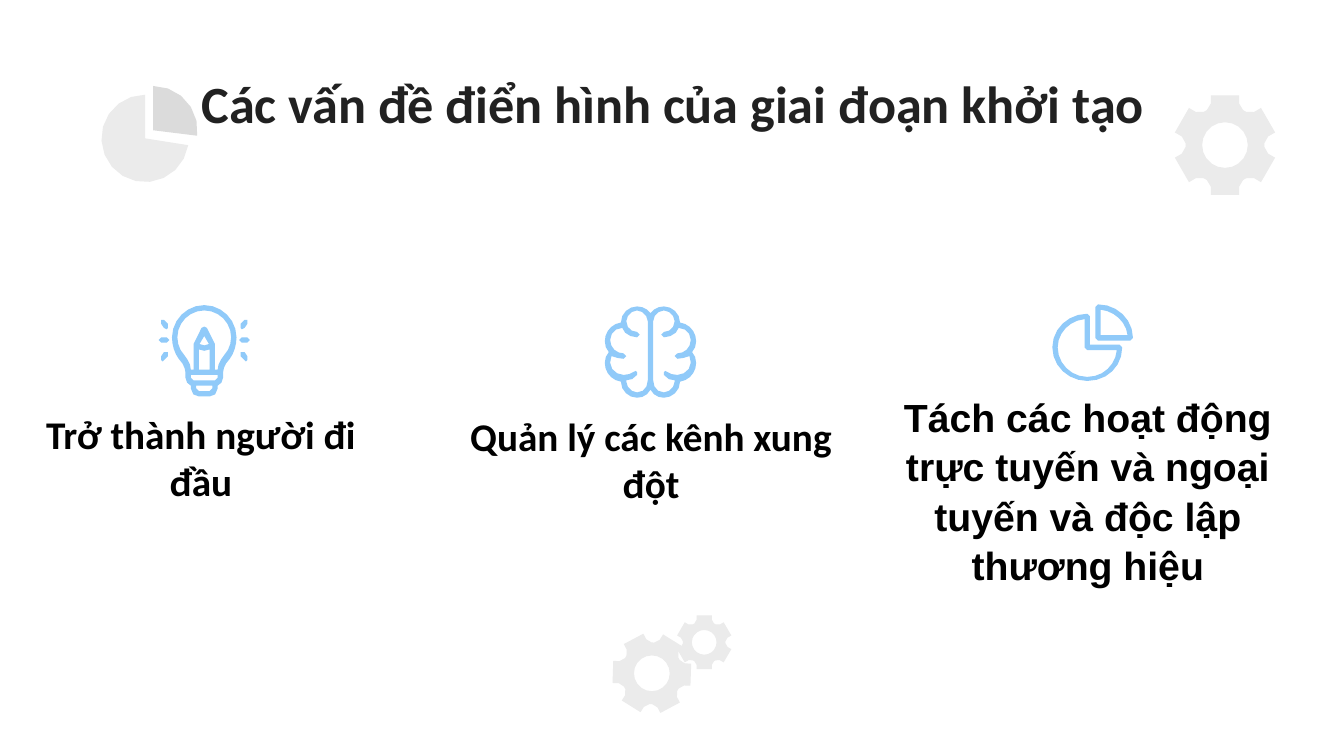
from math import cos, dist, radians, sin

from pptx import Presentation
from pptx.dml.color import RGBColor
from pptx.enum.text import MSO_ANCHOR as Anchor, PP_ALIGN as Align
from pptx.util import Inches, Pt

COLS, ROWS = 1000, 562.5
COLORS = {"title": "212121", "text": "000000", "icon": "90CAF9",
          "pale": "EBEBEB", "slice": "DBDBDB"}

# Left half of each outline, measured from the icon's top centre
BULB_HALVES = [
    "M 0 0 C -13 0 -24 11 -24 24 C -24 30 -22 36 -19 40 C -16 43 -14 47 -14 50 "
    "L -14 54 C -14 57 -12 59 -10 60 L -10 62 C -10 66 -7 68 -4 68 L 0 68",
    "M 0 4 C -11 4 -20 13 -20 24 C -20 29 -18 34 -15 37 C -12 41 -10 44 -10 48 "
    "L -8 48 L -8 29 L -2 17 L 0 16",
    "M 0 23 L -3.5 29 L 0 30",
    "M 0 34 L -4 33 L -4 48 L 0 48",
    "M 0 52 L -10 52 L -10 54 L -8 56 L 0 56",
    "M 0 60 L -6 60 L -6 62 L -4 64 L 0 64",
]
BULB_RAYS = [
    "M -32 24 L -34 26 L -32 28 L -28 28 L -26 26 L -28 24",
    "M -31 11 L -32 11 L -32 14 L -30 17 L -28 18 L -27 17 L -27 14 L -30 11",
    "M -28 35 L -30 35 L -32 38 L -32 41 L -31 42 L -30 41 L -27 38 L -27 35",
]
BRAIN_HALF = (
    "M 0 5 C -2 2 -6 0 -10 0 C -16 0 -22 5 -22 12 C -29 13 -34 19 -34 26 "
    "C -34 29 -33 32 -31 34 C -33 36 -34 39 -34 42 C -34 49 -29 55 -22 56 "
    "C -22 63 -16 68 -10 68 C -6 68 -2 66 0 62")
BRAIN_LOBE = (
    "M -10 3 C -6 3 -2 7 -2 11 L -2 55 C -2 60 -5 64 -10 64 C -14 64 -18 60 -18 56 "
    "L -18 55 C -15 55 -12 54 -10 51 L -10 49 L -11 48 L -13 49 "
    "C -14 50 -17 51 -20 51 C -25 51 -30 47 -30 42 "
    "C -30 40 -29 38 -29 37 C -26 38 -23 39 -20 39 L -18 37 "
    "L -20 35 C -25 35 -30 31 -30 25 C -30 20 -26 16 -21 16 "
    "C -20 20 -15 23 -10 23 L -8 21 L -10 19 "
    "C -14 19 -18 16 -18 11 C -18 7 -14 3 -10 3")
# Whole outlines, measured from the centre of the chart icon's disc
CHART_DISC = [
    "M 0 -25 C -14 -25 -26 -14 -26 0 C -26 14 -14 25 0 25 C 15 25 26 14 26 0 "
    "L 24 -2 L 2 -2 L 2 -23 L 0 -25",
    "M -2 -21 L -2 0 L 0 2 L 22 2 C 21 13 12 22 0 22 "
    "C -12 22 -22 12 -22 0 C -22 -11 -13 -20 -2 -21",
]
CHART_SLICE = [
    "M 8 -32 L 6 -30 L 6 -7 L 8 -5 L 32 -5 L 34 -7 C 34 -21 22 -32 8 -32",
    "M 10 -28 C 20 -27 29 -19 30 -9 L 10 -9 L 10 -28",
]


def flatten(outline):
    """Turn an outline of M, L and C commands into a list of points."""
    pts = []
    for part in outline.replace("M", "L").replace("L", "|L").replace("C", "|C").split("|")[1:]:
        n = [float(v) for v in part.split()[1:]]
        ends = list(zip(n[::2], n[1::2]))
        if part[0] == "L":
            pts += ends
            continue
        curve = [pts[-1], *ends]
        steps = min(6, max(2, round(dist(curve[0], curve[-1]) / 4)))
        for i in range(1, steps + 1):
            t = i / steps
            w = ((1 - t) ** 3, 3 * t * (1 - t) ** 2, 3 * t * t * (1 - t), t ** 3)
            pts.append(tuple(sum(k * p[a] for k, p in zip(w, curve)) for a in (0, 1)))
    return pts


def mirror(pts):
    return [(-x, y) for x, y in reversed(pts)]


def symmetric(half):
    pts = flatten(half)
    return pts + mirror(pts)


def arc(radius, start=0, end=360):
    """Points on a circle, with degrees running clockwise from the top."""
    steps = round((end - start) / 18)
    angles = [radians(start + (end - start) * i / steps) for i in range(steps + 1)]
    return [(radius * sin(a), -radius * cos(a)) for a in angles]


def gear(radius, turn=0):
    k = radius / 37
    tooth = [(-13.5, 26), (-10.5, 31), (-10.5, 37), (10.5, 37), (10.5, 31), (13.5, 26)]
    rim = []
    for i in range(6):
        a = radians(turn + 60 * i)
        rim += [(k * (x * cos(a) + y * sin(a)), k * (x * sin(a) - y * cos(a)))
                for x, y in tooth]
    return [rim, arc(17 * k)]


class Deck:
    """Holds the style, the grid and the current slide."""

    def __init__(self):
        self.prs = Presentation()
        self.prs.slide_width, self.prs.slide_height = Inches(10), Inches(ROWS / 100)
        self.cell = self.prs.slide_width / COLS
        self.s = self.prs.slides.add_slide(self.prs.slide_layouts[6])

    def outline(self, at, contours, color):
        placed = [[((at[0] + x) * self.cell, (at[1] + y) * self.cell) for x, y in c]
                  for c in contours]
        fb = self.s.shapes.build_freeform(*placed[0][0])
        for i, pts in enumerate(placed):
            if i:
                fb.move_to(*pts[0])
            fb.add_line_segments(pts[1:], close=True)
        sp = fb.convert_to_shape()
        sp.shadow.inherit = False
        sp.fill.solid()
        sp.fill.fore_color.rgb = RGBColor.from_string(COLORS[color])
        sp.line.fill.background()

    def text(self, box, text, color="text", size=21, font="Calibri",
             anchor=Anchor.MIDDLE, spacing=1.0):
        tf = self.s.shapes.add_textbox(*(round(v * self.cell) for v in box)).text_frame
        for name, value in {"word_wrap": True, "vertical_anchor": anchor}.items():
            setattr(tf, name, value)
        p = tf.paragraphs[0]
        p.alignment, p.line_spacing = Align.CENTER, spacing
        r = p.add_run()
        r.text = text
        for name, value in {"name": font, "size": Pt(size), "bold": True}.items():
            setattr(r.font, name, value)
        r.font.color.rgb = RGBColor.from_string(COLORS[color])


def main():
    deck = Deck()
    for at, radius, turn in [((911.5, 108), 37, 0), ((485, 501), 29, 32), ((524, 478), 20, 0)]:
        deck.outline(at, gear(radius, turn), "pale")
    deck.outline((108, 103), [[(0, 0)] + arc(32.5, 99, 360)], "pale")
    deck.outline((114, 97), [[(0, 0)] + arc(33, 0, 97)], "slice")

    deck.text((79, 47, 843, 58), "Các vấn đề điển hình của giai đoạn khởi tạo", "title", 28)
    deck.text((1, 321, 297, 39), "Trở thành người đi đầu")
    deck.text((336, 322, 297, 39), "Quản lý các kênh xung đột")

    lobe = flatten(BRAIN_LOBE)
    deck.outline((484, 228), [symmetric(BRAIN_HALF), lobe, mirror(lobe)], "icon")

    rays = [flatten(ray) for ray in BULB_RAYS]
    bulb = [symmetric(half) for half in BULB_HALVES] + rays + [mirror(ray) for ray in rays]
    deck.outline((152, 227), bulb, "icon")

    deck.text((661, 286, 297, 151),
              "Tách các hoạt động trực tuyến và ngoại tuyến và độc lập thương hiệu",
              font="Arial", anchor=Anchor.TOP, spacing=1.05)

    for part in (CHART_DISC, CHART_SLICE):
        deck.outline((809, 258.5), map(flatten, part), "icon")
    deck.prs.save("out.pptx")


if __name__ == "__main__":
    main()
